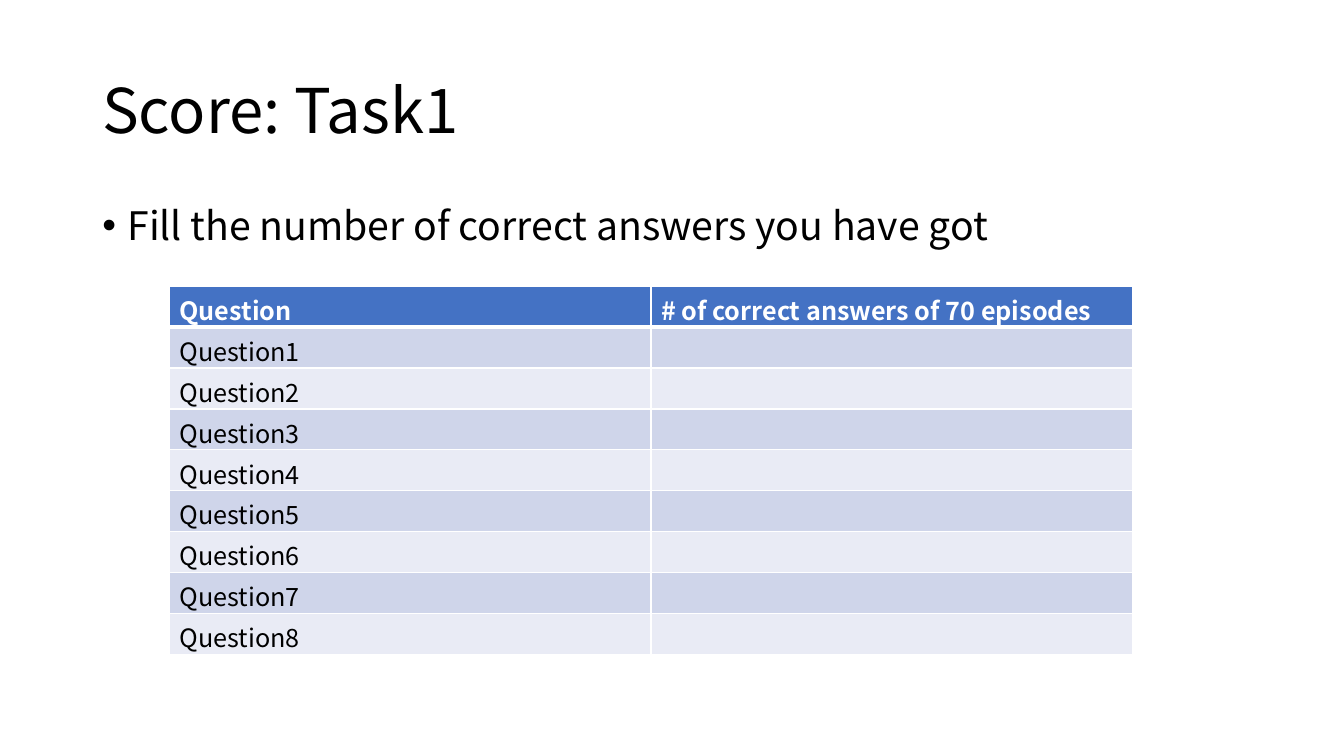
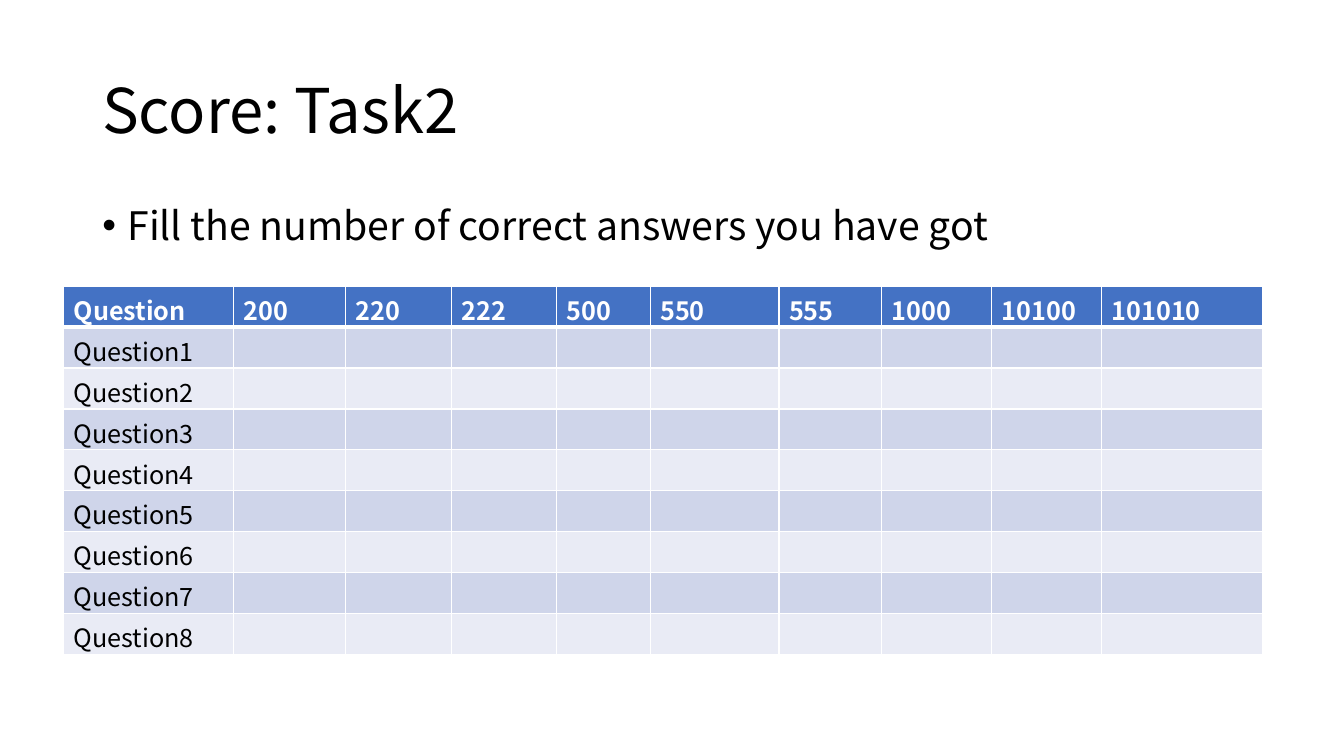
from lxml import etree
from pptx import Presentation
from pptx.dml.color import RGBColor
from pptx.enum import text
from pptx.oxml import ns
from pptx.util import Pt

FONT = "Noto Sans CJK JP"
BLACK = RGBColor(0x00, 0x00, 0x00)
WHITE = RGBColor(0xFF, 0xFF, 0xFF)
HEADER_BLUE = RGBColor(0x44, 0x72, 0xC4)
BANDS = [RGBColor(0xE9, 0xEB, 0xF5), RGBColor(0xCF, 0xD5, 0xEA)]

MARGIN, CONTENT_WIDTH = 66, 828
TABLE_TOP, ROW_HEIGHT = 204.5, 29.2
QUESTIONS = [f"Question{number}" for number in range(1, 9)]
INSTRUCTION = "Fill the number of correct answers you have got"

# Title, table left edge, and header with width for each column
SCORE_SHEETS = [
    ("Score: Task1", 121,
     [("Question", 344), ("# of correct answers of 70 episodes", 344)]),
    ("Score: Task2", 45.5,
     [("Question", 121.5), ("200", 80), ("220", 75.5), ("222", 75),
      ("500", 67), ("550", 92), ("555", 73.5), ("1000", 78.5),
      ("10100", 78.5), ("101010", 115)]),
]


def add_span(para, words, size, color=BLACK, bold=False):
    span = para.add_run()
    span.text = words
    span.font.name = FONT
    span.font.size = Pt(size)
    span.font.bold = bold
    span.font.color.rgb = color


def add_borders(cell, **widths):
    """Draw white cell borders; widths are points keyed by L, R, T and B."""
    properties = cell._tc.get_or_add_tcPr()
    for side, width in widths.items():
        line = etree.SubElement(properties, ns.qn(f"a:ln{side}"), w=str(Pt(width)))
        fill = etree.SubElement(line, ns.qn("a:solidFill"))
        etree.SubElement(fill, ns.qn("a:srgbClr"), val=str(WHITE))


deck = Presentation()
deck.slide_width, deck.slide_height = Pt(960), Pt(540)

for title, table_left, columns in SCORE_SHEETS:
    page = deck.slides.add_slide(deck.slide_layouts[6])

    # Title and instruction
    title_box = page.shapes.add_textbox(Pt(MARGIN), Pt(28.8), Pt(CONTENT_WIDTH), Pt(104.4))
    title_box.text_frame.vertical_anchor = text.MSO_ANCHOR.MIDDLE
    body_box = page.shapes.add_textbox(Pt(MARGIN), Pt(144), Pt(CONTENT_WIDTH), Pt(342.6))
    for box, words, size in [(title_box, title, 44), (body_box, INSTRUCTION, 28)]:
        box.text_frame.word_wrap = True
        para = box.text_frame.paragraphs[0]
        para.line_spacing = 0.9
        add_span(para, words, size)

    bullet_para = body_box.text_frame.paragraphs[0]
    bullet_para.space_before = Pt(10)
    settings = bullet_para._p.get_or_add_pPr()
    settings.set("marL", str(Pt(18)))
    settings.set("indent", str(Pt(-18)))
    etree.SubElement(settings, ns.qn("a:buFont"), typeface="Arial")
    etree.SubElement(settings, ns.qn("a:buChar"), char="•")

    # Score table
    row_count = len(QUESTIONS) + 1
    table = page.shapes.add_table(
        row_count, len(columns), Pt(table_left), Pt(TABLE_TOP),
        Pt(sum(width for _, width in columns)), Pt(ROW_HEIGHT * row_count)).table
    for row in table.rows:
        row.height = Pt(ROW_HEIGHT)
    for column, (_, width) in zip(table.columns, columns):
        column.width = Pt(width)

    for row_index in range(row_count):
        is_header = row_index == 0
        for column_index, (header, _) in enumerate(columns):
            cell = table.cell(row_index, column_index)
            add_borders(cell, L=1, R=1, T=3 if row_index == 1 else 1, B=3 if is_header else 1)
            cell.fill.solid()
            cell.fill.fore_color.rgb = HEADER_BLUE if is_header else BANDS[row_index % 2]
            para = cell.text_frame.paragraphs[0]
            if is_header:
                add_span(para, header, 18, WHITE, bold=True)
            elif column_index == 0:
                add_span(para, QUESTIONS[row_index - 1], 18)

deck.save("out.pptx")
